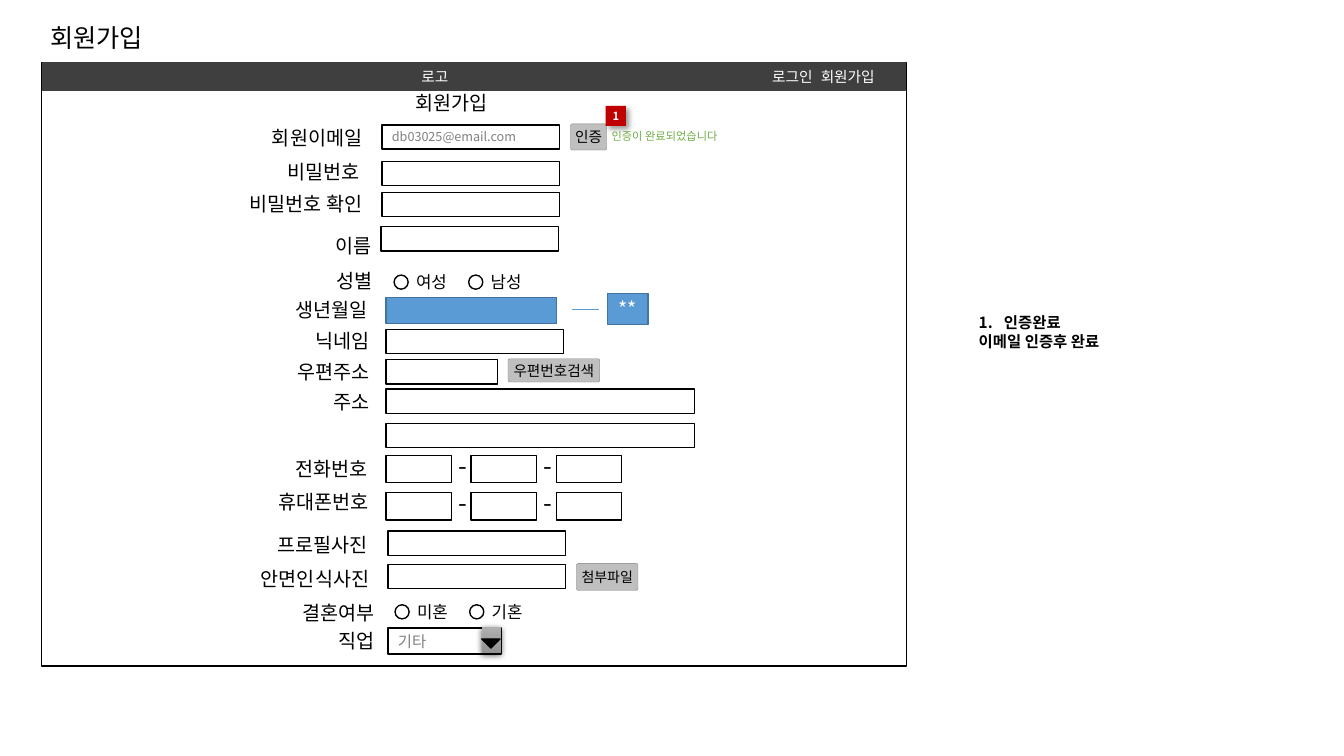
from dataclasses import dataclass

from lxml.etree import SubElement
from pptx import Presentation
from pptx.dml.color import RGBColor
from pptx.enum.shapes import MSO_CONNECTOR, MSO_SHAPE as SHAPE
from pptx.enum.text import MSO_ANCHOR as ANCHOR, PP_ALIGN as ALIGN
from pptx.oxml.ns import qn
from pptx.util import Pt


@dataclass(frozen=True)
class Theme:
    font: str = "Noto Sans CJK KR"
    black: str = "000000"
    white: str = "FFFFFF"
    header: str = "3F3F3F"
    hint: str = "808080"
    button: str = "BFBFBF"
    arrow_light: str = "AFAFAF"
    arrow_dark: str = "939393"
    blue: str = "5B9BD5"
    blue_line: str = "43739E"
    badge: str = "C00000"
    success: str = "70AD47"
    title_size: float = 18
    label_size: float = 14
    option_size: float = 12
    note_size: float = 11
    header_size: float = 10.5
    hint_size: float = 9
    small_size: float = 8


THEME = Theme()
LABEL_HEIGHT = 24.2
FIELD_WIDTH, FIELD_HEIGHT = 126.7, 17.3

# Label text, left, top, width within the page frame
LABELS = [
    ("회원가입", 259.9, 16.6, 195.8),
    ("회원이메일", 157.7, 41.8, 92.2),
    ("비밀번호", 168.5, 66.2, 121),
    ("비밀번호 확인", 141.8, 89.3, 121),
    ("이름", 203, 118.8, 87.1),
    ("성별", 203.8, 144, 87.1),
    ("생년월일", 174.5, 164.9, 87.1),
    ("닉네임", 188.6, 186.5, 82.8),
    ("우편주소", 175.7, 208.8, 121),
    ("주소", 201.6, 230.4, 121),
    ("전화번호", 174.2, 277.9, 87.1),
    ("휴대폰번호", 162, 301.7, 87.1),
    ("프로필사진", 161.3, 332.6, 92.2),
    ("안면인식사진", 149.8, 357.1, 110.2),
    ("결혼여부", 179.3, 380.9, 87.1),
    ("직업", 205.2, 401, 87.1),
]
# Left, top, width of the plain entry fields
FIELDS = [
    (243.4, 70.6, FIELD_WIDTH), (243.4, 92.9, FIELD_WIDTH),
    (242.6, 117.4, FIELD_WIDTH), (246.2, 190.8, FIELD_WIDTH),
    (246.2, 212.4, 79.9), (246.2, 233.3, 220.3), (246.2, 257.8, 220.3),
    (247.7, 334.8, FIELD_WIDTH), (247.7, 358.6, FIELD_WIDTH),
]
# Text, left, top, width, height, type size
BUTTONS = [
    ("인증", 378, 43.9, 25.9, 18.7, 10.5),
    ("우편번호검색", 333.4, 211.7, 65.5, 16.6, 10.5),
    ("첨부파일", 382.3, 357.8, 43.9, 19.4, 10),
]


def color(value):
    return RGBColor.from_string(value)


def style(paragraph, size, ink, bold=False, align=ALIGN.LEFT):
    paragraph.alignment = align
    font = paragraph.font
    font.name, font.size, font.bold = THEME.font, Pt(size), bold
    font.color.rgb = color(ink)
    defaults = paragraph._p.pPr.find(qn("a:defRPr"))
    SubElement(defaults, qn("a:ea")).set("typeface", THEME.font)


def write(shape, text, size, ink=THEME.black, bold=False, align=ALIGN.LEFT,
          anchor=ANCHOR.MIDDLE, inset=None, wrap=True):
    frame = shape.text_frame
    frame.word_wrap, frame.vertical_anchor = wrap, anchor
    if inset is not None:
        frame.margin_left = frame.margin_right = 0
        frame.margin_top = frame.margin_bottom = Pt(inset)
    frame.text = text
    for paragraph in frame.paragraphs:
        style(paragraph, size, ink, bold, align)
    return shape


def add_text(slide, box, text, size, **options):
    options = {"anchor": ANCHOR.TOP, **options}
    return write(slide.shapes.add_textbox(*map(Pt, box)), text, size, **options)


def add_box(slide, box, kind=SHAPE.RECTANGLE, fill=THEME.white,
            line=THEME.black, weight=1):
    shape = slide.shapes.add_shape(kind, *map(Pt, box))
    shape.shadow.inherit = False
    shape.fill.solid()
    shape.fill.fore_color.rgb = color(fill)
    if line:
        shape.line.color.rgb = color(line)
        shape.line.width = Pt(weight)
    else:
        shape.line.fill.background()
    return shape


def add_shadow(shape, opacity, blur, distance, angle):
    effects = shape._element.spPr.find(qn("a:effectLst"))
    shadow = SubElement(effects, qn("a:outerShdw"), blurRad=str(Pt(blur)),
                        dist=str(Pt(distance)), dir=str(angle * 60000), rotWithShape="0")
    ink = SubElement(shadow, qn("a:srgbClr"), val=THEME.black)
    SubElement(ink, qn("a:alpha"), val=str(opacity * 1000))


def draw_page(slide, left, top, width, height):
    """Page frame with its header bar."""
    add_box(slide, (left, top, width, height))
    add_box(slide, (left + 0.7, top, width - 1.5, 20.2), fill=THEME.header, line=THEME.header)
    for text, x, w in [("로고", 255.6, 51), ("로그인", 520, 33), ("회원가입", 555, 42)]:
        add_text(slide, (left + x, top, w, 20.2), text, THEME.header_size, ink=THEME.white,
                 align=ALIGN.CENTER, anchor=ANCHOR.MIDDLE, inset=0, wrap=False)


def draw_options(slide, left, top, names):
    """Row of radio buttons."""
    for index, name in enumerate(names):
        x = left + 53.3 * index
        add_box(slide, (x, top, 10.1, 10.1), SHAPE.OVAL)
        add_text(slide, (x + 8.6, top - 6, 59, 21.6), name, THEME.option_size)


def draw_phone(slide, left, top):
    """Three number fields joined by dashes."""
    for index in range(3):
        x = left + 60.8 * index
        add_box(slide, (x, top, 46.8, 19.4))
        if index:
            add_text(slide, (x - 16.1, top - 7.2, 36.7, 28.8), "-", THEME.title_size)


def draw_birth(slide, left, top):
    """Birth date, dash and masked digits."""
    blue = {"fill": THEME.blue, "line": THEME.blue_line}
    add_box(slide, (left, top, 121.7, 18.7), **blue)
    dash = slide.shapes.add_connector(MSO_CONNECTOR.STRAIGHT, Pt(left + 133.2), Pt(top + 8.6),
                                      Pt(left + 152), Pt(top + 8.6))
    dash.line.color.rgb, dash.line.width = color(THEME.blue), Pt(0.5)
    SubElement(dash._element.spPr, qn("a:effectLst"))
    digits = add_box(slide, (left + 158.4, top - 2.9, 28.8, 22.3), **blue)
    write(digits, "**", THEME.label_size, THEME.white, align=ALIGN.CENTER)


def draw_job_list(slide, left, top):
    """Drop-down list."""
    write(add_box(slide, (left, top, 80.6, 18.7)), "기타", THEME.note_size, THEME.hint)
    button = add_box(slide, (left + 66.9, top - 0.7, 13.7, 18.7), line=None)
    button.fill.gradient()
    button.fill.gradient_angle = 270
    for stop, shade in zip(button.fill.gradient_stops, (THEME.arrow_light, THEME.arrow_dark)):
        stop.color.rgb = color(shade)
    add_shadow(button, 63, 4.5, 1.5, 90)
    arrow = add_box(slide, (left + 66.9, top + 7.9, 13, 6.5), SHAPE.ISOSCELES_TRIANGLE,
                    fill=THEME.black)
    arrow.rotation = 180


def draw_form(slide, left, top):
    """Labels, fields and buttons of the sign-up form."""
    for text, x, y, width in LABELS:
        add_text(slide, (left + x, top + y, width, LABEL_HEIGHT), text, THEME.label_size)
    for x, y, width in FIELDS:
        add_box(slide, (left + x, top + y, width, FIELD_HEIGHT))
    email = add_box(slide, (left + 243.4, top + 44.6, FIELD_WIDTH, FIELD_HEIGHT))
    write(email, "db03025@email.com", THEME.hint_size, THEME.hint)
    for text, x, y, width, height, size in BUTTONS:
        button = add_box(slide, (left + x, top + y, width, height), SHAPE.ROUNDED_RECTANGLE,
                         THEME.button, THEME.hint, 0.25)
        button.adjustments[0] = 0.075
        write(button, text, size, align=ALIGN.CENTER, inset=3.6)
    draw_options(slide, left + 252, top + 151.9, ["여성", "남성"])
    draw_birth(slide, left + 246.2, top + 167.8)
    for y in (280.8, 307.4):
        draw_phone(slide, left + 246.2, top + y)
    draw_options(slide, left + 252.7, top + 387.4, ["미혼", "기혼"])
    draw_job_list(slide, left + 247.7, top + 403.9)
    # Numbered marker and confirmation message
    badge = add_box(slide, (left + 403.2, top + 31, 14.4, 14.4), fill=THEME.badge, line=None)
    add_shadow(badge, 40, 4, 3, 45)
    write(badge, "1", THEME.small_size, THEME.white, True, ALIGN.CENTER, inset=0, wrap=False)
    add_text(slide, (left + 400.3, top + 43.9, 158.4, 17.3), "인증이 완료되었습니다",
             THEME.small_size, ink=THEME.success)


def draw_notes(slide, box):
    """Numbered description beside the page."""
    shape = slide.shapes.add_textbox(*map(Pt, box))
    shape.text_frame.text = "인증완료\n이메일 인증후 완료"
    properties = shape.text_frame.paragraphs[0]._p.get_or_add_pPr()
    properties.set("marL", str(Pt(18)))
    properties.set("indent", str(Pt(-18)))
    SubElement(properties, qn("a:buFont"), typeface="+mj-lt")
    SubElement(properties, qn("a:buAutoNum"), type="arabicPeriod")
    frame = shape.text_frame
    frame.word_wrap, frame.vertical_anchor = True, ANCHOR.MIDDLE
    frame.margin_left = frame.margin_right = frame.margin_top = frame.margin_bottom = 0
    for paragraph in frame.paragraphs:
        style(paragraph, THEME.note_size, THEME.black, bold=True)


def main():
    presentation = Presentation()
    presentation.slide_width, presentation.slide_height = Pt(960), Pt(540)
    slide = presentation.slides.add_slide(presentation.slide_layouts[6])
    add_text(slide, (28.8, 12.2, 177.1, 28.8), "회원가입", THEME.title_size)
    draw_page(slide, 29.5, 44.6, 617.8, 431.3)
    draw_form(slide, 29.5, 44.6)
    draw_notes(slide, (699.1, 42.5, 239, 389))
    presentation.save("out.pptx")


if __name__ == "__main__":
    main()
